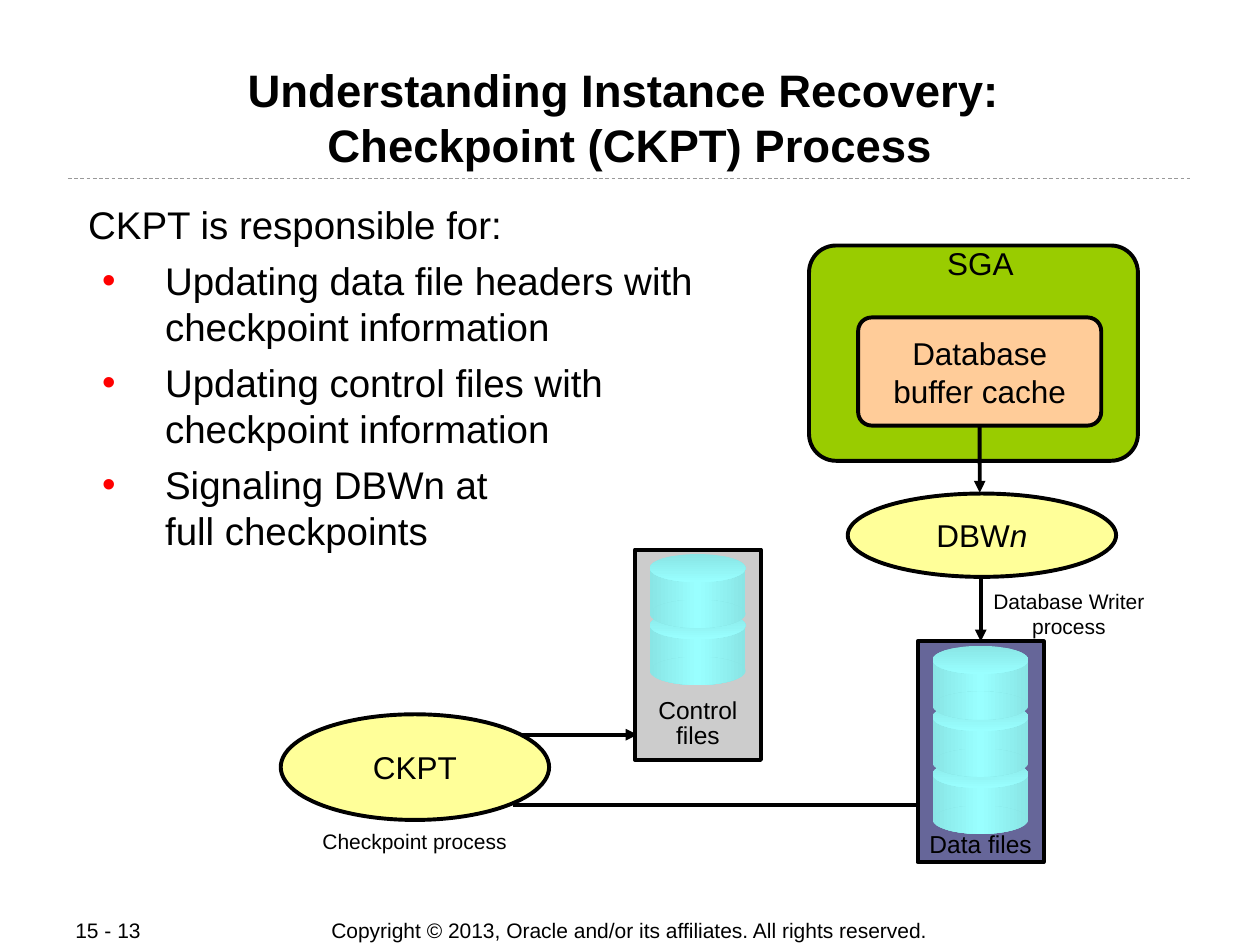
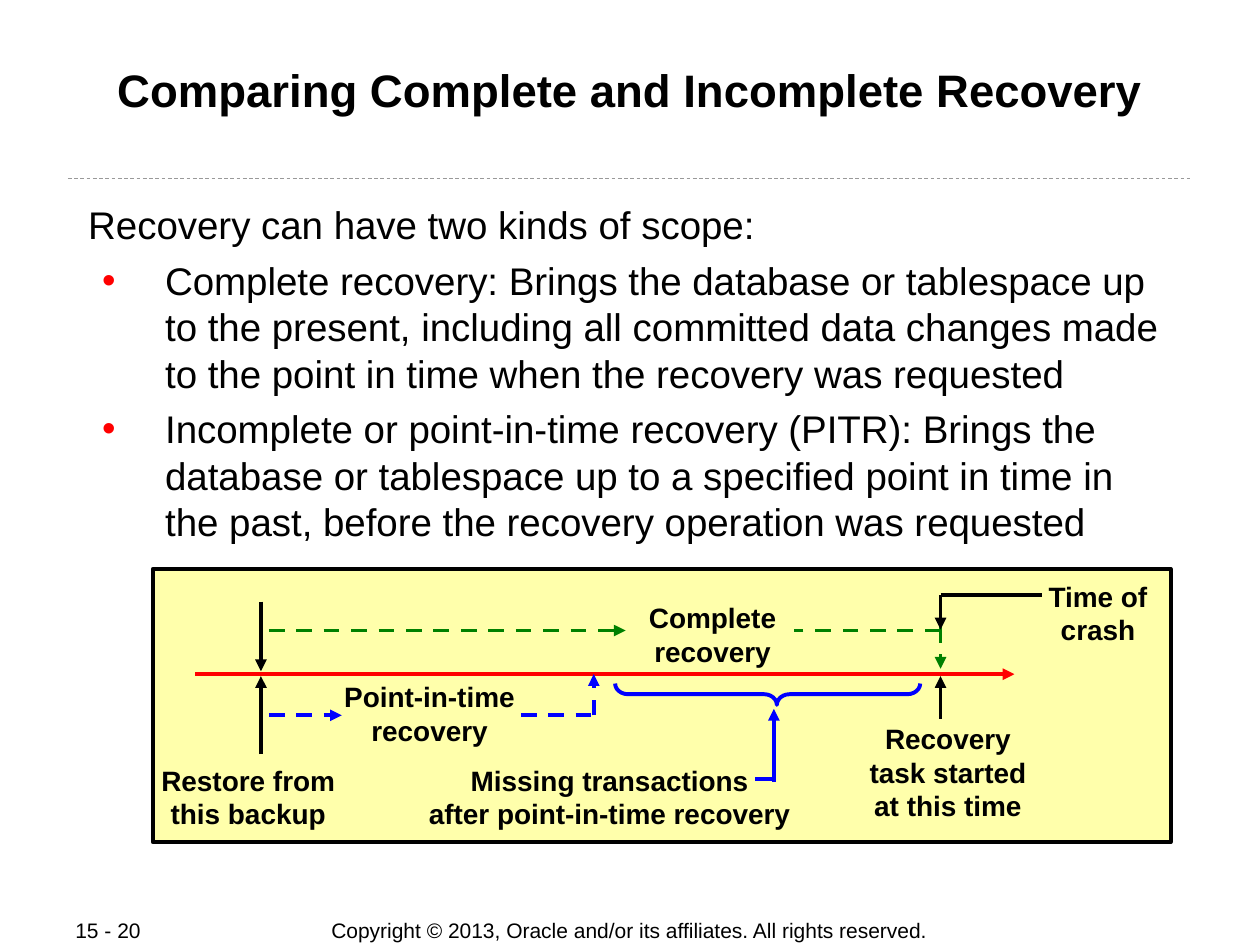
from copy import deepcopy
from dataclasses import dataclass

from lxml.etree import SubElement
from pptx import Presentation
from pptx.dml.color import RGBColor
from pptx.enum.dml import MSO_LINE
from pptx.enum.shapes import MSO_CONNECTOR, MSO_SHAPE
from pptx.enum.text import MSO_ANCHOR, MSO_AUTO_SIZE, PP_ALIGN
from pptx.oxml.ns import qn
from pptx.util import Cm, Pt


@dataclass(frozen=True)
class Theme:
    font: str = "Arial"
    black: str = "000000"
    rule: str = "999999"
    bullet: str = "FF0000"
    sga: str = "99CC00"
    cache: str = "FFCC99"
    process: str = "FFFF99"
    data_store: str = "666699"
    control_store: str = "CCCCCC"
    drum_edge: str = "89E5E5"
    drum_middle: str = "99FFFF"
    panel: str = "FFFFAB"
    axis: str = "FF0000"
    complete: str = "008000"
    point_in_time: str = "0000FF"
    title_size: float = 26
    body_size: float = 22
    shape_size: float = 18
    timeline_size: float = 16
    store_size: float = 14
    small_size: float = 12
    stroke: float = 2.25


THEME = Theme()
COPYRIGHT = "Copyright © 2013, Oracle and/or its affiliates. All rights reserved."


def color(value):
    return RGBColor.from_string(value)


def add_text(paragraph, text, size, bold=False, italic=False):
    """Add one run for each line of the text, with line breaks between them."""
    for number, line in enumerate(text.split("\n")):
        if number:
            paragraph.add_line_break()
            paragraph._p[-1].append(deepcopy(run._r.rPr))
        run = paragraph.add_run()
        run.text = line
        run.font.name = THEME.font
        run.font.size = Pt(size)
        run.font.bold = bold
        run.font.italic = italic
        run.font.color.rgb = color(THEME.black)


def set_margins(frame, margin):
    frame.margin_left = frame.margin_right = margin
    frame.margin_top = frame.margin_bottom = margin


class Region:
    """A part of a slide; positions are centimetres from its top left corner."""

    def __init__(self, slide, left=0, top=0):
        self.slide, self.left, self.top = slide, left, top

    def place(self, x, y):
        return Cm(self.left + x), Cm(self.top + y)

    def label(self, text, x, y, width, height, size, bold=False, wrap=False,
              align=PP_ALIGN.CENTER, anchor=MSO_ANCHOR.TOP, spacing=None):
        box = self.slide.shapes.add_textbox(*self.place(x, y), Cm(width), Cm(height))
        frame = box.text_frame
        frame.word_wrap = wrap
        frame.vertical_anchor = anchor
        if not wrap:
            frame.margin_left = frame.margin_right = 0
        paragraph = frame.paragraphs[0]
        paragraph.alignment = align
        paragraph.line_spacing = spacing
        add_text(paragraph, text, size, bold)

    def shape(self, kind, x, y, width, height, fill=None, line=THEME.black):
        shape = self.slide.shapes.add_shape(
            kind, *self.place(x, y), Cm(width), Cm(height))
        shape.shadow.inherit = False
        if fill:
            shape.fill.solid()
            shape.fill.fore_color.rgb = color(fill)
        else:
            shape.fill.background()
        if line:
            shape.line.color.rgb = color(line)
            shape.line.width = Pt(THEME.stroke)
        else:
            shape.line.fill.background()
        return shape

    def line(self, x1, y1, x2, y2, ink=THEME.black, arrow=False, dash=False,
             width=THEME.stroke):
        line = self.slide.shapes.add_connector(
            MSO_CONNECTOR.STRAIGHT, *self.place(x1, y1), *self.place(x2, y2))
        line.line.color.rgb = color(ink)
        line.line.width = Pt(width)
        if dash:
            line.line.dash_style = MSO_LINE.DASH
        if arrow:
            outline = line._element.spPr.find(qn("a:ln"))
            SubElement(outline, qn("a:tailEnd"), type="triangle")
        SubElement(line._element.spPr, qn("a:effectLst"))
        return line


def fill_gradient(shape, colors, degrees):
    shape.fill.gradient()
    gradient = shape._element.spPr.find(qn("a:gradFill"))
    stops = gradient.find(qn("a:gsLst"))
    stops.clear()
    for number, value in enumerate(colors):
        position = 100000 * number // (len(colors) - 1)
        stop = SubElement(stops, qn("a:gs"), pos=str(position))
        SubElement(stop, qn("a:srgbClr"), val=value)
    gradient.find(qn("a:lin")).set("ang", str(degrees * 60000))


def fill_centered(shape, runs):
    frame = shape.text_frame
    frame.word_wrap = False
    frame.vertical_anchor = MSO_ANCHOR.MIDDLE
    paragraph = frame.paragraphs[0]
    paragraph.alignment = PP_ALIGN.CENTER
    for text, italic in runs:
        add_text(paragraph, text, THEME.shape_size, italic=italic)


def add_base_slide(presentation, title, number):
    slide = presentation.slides.add_slide(presentation.slide_layouts[5])
    page = Region(slide)
    page.label(COPYRIGHT, 5.99, 18.49, 13.4, 0.53, THEME.small_size,
               anchor=MSO_ANCHOR.MIDDLE)
    page.line(1.37, 3.6, 24.03, 3.6, THEME.rule, dash=True, width=0.5)
    page.label(number, 1.27, 18.49, 2.69, 0.51, THEME.small_size, wrap=True,
               align=PP_ALIGN.LEFT, anchor=MSO_ANCHOR.MIDDLE)

    heading = slide.shapes.title
    heading.left, heading.top = Cm(1.7), Cm(1.22)
    heading.width, heading.height = Cm(22), Cm(2.44)
    frame = heading.text_frame
    frame.word_wrap = True
    frame.auto_size = MSO_AUTO_SIZE.NONE
    frame.vertical_anchor = MSO_ANCHOR.TOP
    set_margins(frame, Cm(0.03))
    frame.paragraphs[0].alignment = PP_ALIGN.CENTER
    add_text(frame.paragraphs[0], title, THEME.title_size, bold=True)
    return slide


def add_body(slide, intro, bullets):
    box = slide.shapes.add_textbox(Cm(1.7), Cm(4.03), Cm(22), Cm(7.1))
    frame = box.text_frame
    frame.word_wrap = True
    set_margins(frame, Cm(0.03))
    frame.paragraphs[0]._p.get_or_add_pPr().set("marL", str(Cm(0.05)))
    add_text(frame.paragraphs[0], intro, THEME.body_size)
    for text in bullets:
        paragraph = frame.add_paragraph()
        paragraph.level = 1
        properties = paragraph._p.get_or_add_pPr()
        properties.set("marL", str(Cm(1.6)))
        properties.set("indent", str(Cm(-1.27)))
        bullet_color = SubElement(properties, qn("a:buClr"))
        SubElement(bullet_color, qn("a:srgbClr"), val=THEME.bullet)
        SubElement(properties, qn("a:buFont"), typeface=THEME.font)
        SubElement(properties, qn("a:buChar"), char="•")
        paragraph.space_before = Pt(5.5)
        add_text(paragraph, text, THEME.body_size)


def add_sga(slide, left, top):
    """Draw the memory area and return its buffer cache."""
    region = Region(slide, left, top)
    area = region.shape(MSO_SHAPE.ROUNDED_RECTANGLE, 0, 0, 6.63, 4.34, THEME.sga)
    region.label("SGA", 2.26, -0.03, 2.39, 0.81, THEME.shape_size, spacing=0.85)
    cache = region.shape(MSO_SHAPE.ROUNDED_RECTANGLE, 0.99, 1.45, 4.9, 2.18,
                         THEME.cache)
    area.adjustments[0] = cache.adjustments[0] = 0.125
    fill_centered(cache, [("Database\nbuffer cache", False)])
    return cache


def add_process(slide, left, top, height, runs, caption, caption_x, caption_y):
    region = Region(slide, left, top)
    region.label(caption, caption_x, caption_y, 5.2, 0.76, THEME.small_size)
    ellipse = region.shape(MSO_SHAPE.OVAL, 0, 0, 5.41, height, THEME.process)
    fill_centered(ellipse, runs)


def add_drum(slide, left, top):
    region = Region(slide, left, top)
    edge, middle = THEME.drum_edge, THEME.drum_middle
    side = [edge, middle, edge]
    for kind, y, height, colors, degrees in (
            (MSO_SHAPE.RECTANGLE, 0.29, 0.89, side, 0),
            (MSO_SHAPE.OVAL, 0, 0.57, [edge, middle], 90),
            (MSO_SHAPE.OVAL, 0.92, 0.57, side, 0)):
        part = region.shape(kind, 0, y, 1.93, height, line=None)
        fill_gradient(part, colors, degrees)


def add_store(slide, left, top, height, fill, drums, caption, caption_y):
    """Draw a framed stack of drums and return the frame."""
    region = Region(slide, left, top)
    frame = region.shape(MSO_SHAPE.RECTANGLE, 0, 0, 2.54, height, fill)
    for number in reversed(range(drums)):
        add_drum(slide, left + 0.3, top + 0.09 + 1.15 * number)
    region.label(caption, -0.14, caption_y, 2.82, 0.8, THEME.store_size,
                 wrap=True, spacing=0.85)
    return frame


def add_checkpoint_diagram(slide):
    page = Region(slide)
    page.line(10.31, 14.81, 12.85, 14.81, arrow=True)
    page.line(10.34, 16.23, 18.8, 16.23, arrow=True)
    cache = add_sga(slide, 16.31, 4.95)
    cache_arrow = page.line(19.75, 8.58, 19.75, 9.93, arrow=True)
    cache_arrow.begin_connect(cache, 2)
    add_process(slide, 5.66, 14.4, 2.13, [("CKPT", False)],
                "Checkpoint process", 0.1, 2.17)
    data_files = add_store(slide, 18.5, 12.93, 4.45, THEME.data_store, 3,
                           "Data files", 3.75)
    add_store(slide, 12.8, 11.08, 4.24, THEME.control_store, 2,
              "Control files", 2.9)
    add_process(slide, 17.09, 9.95, 1.68, [("DBW", False), ("n", True)],
                "Database Writer\nprocess", 1.86, 1.78)
    writer_arrow = page.line(19.77, 11.61, 19.77, 12.93, arrow=True)
    writer_arrow.end_connect(data_files, 0)


def add_recovery_timeline(slide, left, top):
    region = Region(slide, left, top)
    region.shape(MSO_SHAPE.RECTANGLE, 0, 0, 20.52, 5.51, THEME.panel)

    backup_x, target_x, missing_x, crash_x = 2.18, 8.89, 12.52, 15.88
    axis_y, complete_y, target_y, missing_y, crash_y = 2.12, 1.24, 2.95, 4.24, 0.53
    green, blue = THEME.complete, THEME.point_in_time
    solid_arrow = {"arrow": True}
    dashed = {"dash": True}
    dashed_arrow = solid_arrow | dashed

    for x1, y1, x2, y2, ink, style in (
            (0.86, axis_y, 17.37, axis_y, THEME.axis, solid_arrow),
            (target_x, target_y, target_x, axis_y, blue, dashed_arrow),
            (backup_x + 0.16, target_y, 3.81, target_y, blue, dashed_arrow),
            (7.42, target_y, target_x, target_y, blue, dashed),
            (missing_x, missing_y, 12.14, missing_y, blue, {}),
            (missing_x, missing_y + 0.05, missing_x, 2.82, blue, solid_arrow),
            (backup_x + 0.16, complete_y, 9.53, complete_y, green, dashed_arrow),
            (crash_x, complete_y, 12.93, complete_y, green, dashed),
            (crash_x, 1.17, crash_x, 2.01, green, dashed_arrow),
            (crash_x, 3.02, crash_x, 2.16, THEME.black, solid_arrow),
            (backup_x, 3.73, backup_x, 2.16, THEME.black, solid_arrow),
            (backup_x, 0.66, backup_x, 2.06, THEME.black, solid_arrow),
            (crash_x, crash_y, 17.93, crash_y, THEME.black, {}),
            (crash_x, crash_y, crash_x, 1.22, THEME.black, solid_arrow)):
        region.line(x1, y1, x2, y2, ink, **style)

    span, depth = 6.15, 0.43
    brace = region.shape(MSO_SHAPE.RIGHT_BRACE, 9.32 + (span - depth) / 2,
                         2.31 - (span - depth) / 2, depth, span, line=blue)
    brace.rotation = 90
    brace.adjustments[0], brace.adjustments[1] = 0.6, 0.47

    for text, x, y, width in (
            ("Recovery\ntask started\nat this time", 13.78, 2.95, 4.5),
            ("Complete\nrecovery", 9.75, 0.52, 3.07),
            ("Point-in-time\nrecovery", 3.61, 2.11, 3.94),
            ("Missing transactions\nafter point-in-time recovery", 5.31, 3.79, 7.8),
            ("Restore from\nthis backup", -0.08, 3.79, 4.01),
            ("Time of\ncrash", 17.8, 0.08, 2.51)):
        height = 0.25 + 0.69 * len(text.split("\n"))
        region.label(text, x, y, width, height, THEME.timeline_size, bold=True)


def main():
    presentation = Presentation()
    presentation.slide_width, presentation.slide_height = Cm(25.4), Cm(19.05)

    checkpoint = add_base_slide(
        presentation,
        "Understanding Instance Recovery: \nCheckpoint (CKPT) Process", "15 - 13")
    add_body(checkpoint, "CKPT is responsible for:", [
        "Updating data file headers with\ncheckpoint information",
        "Updating control files with\ncheckpoint information",
        "Signaling DBWn at \nfull checkpoints"])
    add_checkpoint_diagram(checkpoint)

    recovery = add_base_slide(
        presentation, "Comparing Complete and Incomplete Recovery", "15 - 20")
    add_body(recovery, "Recovery can have two kinds of scope:", [
        "Complete recovery: Brings the database or tablespace up to the present, "
        "including all committed data changes made to the point in time when the "
        "recovery was requested",
        "Incomplete or point-in-time recovery (PITR): Brings the database or "
        "tablespace up to a specified point in time in the past, before the "
        "recovery operation was requested"])
    add_recovery_timeline(recovery, 3.08, 11.47)

    presentation.save("out.pptx")


if __name__ == "__main__":
    main()
